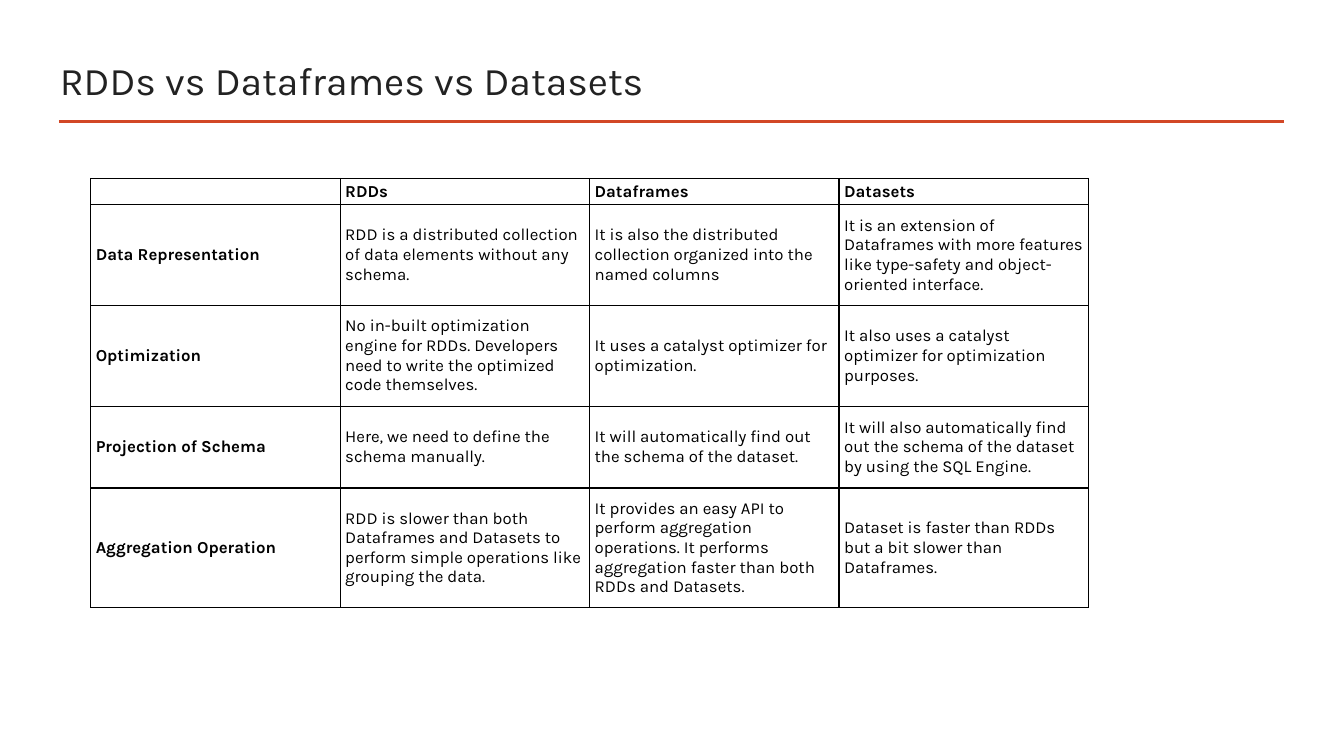
from lxml import etree
from pptx import Presentation
from pptx.dml.color import RGBColor
from pptx.enum import shapes, text
from pptx.oxml import ns
from pptx.util import Pt

BLACK = RGBColor(0x00, 0x00, 0x00)
WHITE = RGBColor(0xFF, 0xFF, 0xFF)
CHARCOAL = RGBColor(0x22, 0x22, 0x22)
ORANGE = RGBColor(0xD2, 0x47, 0x26)

COMPARISON = [
    ["", "RDDs", "Dataframes", "Datasets"],
    ["Data Representation",
     "RDD is a distributed collection of data elements without any schema.",
     "It is also the distributed collection organized into the named columns",
     "It is an extension of Dataframes with more features like type-safety "
     "and object-oriented interface."],
    ["Optimization",
     "No in-built optimization engine for RDDs. Developers need to write "
     "the optimized code themselves.",
     "It uses a catalyst optimizer for optimization.",
     "It also uses a catalyst optimizer for optimization purposes."],
    ["Projection of Schema",
     "Here, we need to define the schema manually.",
     "It will automatically find out the schema of the dataset.",
     "It will also automatically find out the schema of the dataset by "
     "using the SQL Engine."],
    ["Aggregation Operation",
     "RDD is slower than both Dataframes and Datasets to perform simple "
     "operations like grouping the data.",
     "It provides an easy API to perform aggregation operations. It performs "
     "aggregation faster than both RDDs and Datasets.",
     "Dataset is faster than RDDs but a bit slower than Dataframes."],
]
ROW_HEIGHTS = [18, 72, 72, 58.5, 85.5]
COLUMN_WIDTH = 178.2


class SlideBuilder:
    font_name = "Karla"
    title_size = 28
    cell_size = 12

    def __init__(self, presentation):
        self.slide = presentation.slides.add_slide(presentation.slide_layouts[5])

    def format_runs(self, paragraph, size, color, bold=False):
        for run in paragraph.runs:
            run.font.name = self.font_name
            run.font.size = Pt(size)
            run.font.bold = bold
            run.font.color.rgb = color

    def title(self, wording, left, top, width, height):
        shape = self.slide.shapes.title
        shape.left, shape.top = Pt(left), Pt(top)
        shape.width, shape.height = Pt(width), Pt(height)
        frame = shape.text_frame
        frame.text = wording
        frame.word_wrap = True
        frame.auto_size = text.MSO_AUTO_SIZE.NONE
        frame.vertical_anchor = text.MSO_ANCHOR.MIDDLE
        paragraph = frame.paragraphs[0]
        paragraph.alignment = text.PP_ALIGN.LEFT
        paragraph.line_spacing = 0.9
        self.format_runs(paragraph, self.title_size, CHARCOAL)

    def rule(self, left, right, y, color, weight):
        connector = self.slide.shapes.add_connector(
            shapes.MSO_CONNECTOR.STRAIGHT, Pt(left), Pt(y), Pt(right), Pt(y))
        connector.line.color.rgb = color
        connector.line.width = Pt(weight)
        etree.SubElement(connector._element.spPr, ns.qn("a:effectLst"))

    def table(self, rows, left, top, column_width, row_heights):
        """Add a bordered table whose first row and first column are bold."""
        column_count = len(rows[0])
        table = self.slide.shapes.add_table(
            len(rows), column_count, Pt(left), Pt(top),
            Pt(column_width * column_count), Pt(sum(row_heights))).table
        table.first_row = table.horz_banding = False
        for column in table.columns:
            column.width = Pt(column_width)
        for row_index, (wordings, height) in enumerate(zip(rows, row_heights)):
            table.rows[row_index].height = Pt(height)
            for column_index, wording in enumerate(wordings):
                heading = row_index == 0 or column_index == 0
                self.cell(table.cell(row_index, column_index), wording, heading)

    def cell(self, cell, wording, bold):
        cell.margin_left = cell.margin_right = Pt(3.6)
        cell.margin_top = cell.margin_bottom = Pt(2)
        cell.vertical_anchor = text.MSO_ANCHOR.MIDDLE
        cell.text_frame.text = wording
        paragraph = cell.text_frame.paragraphs[0]
        self.format_runs(paragraph, self.cell_size, BLACK, bold)
        if not wording:
            etree.SubElement(paragraph._p, ns.qn("a:endParaRPr"),
                             sz=str(self.cell_size * 100))
        self.borders(cell, BLACK, 1)
        cell.fill.solid()
        cell.fill.fore_color.rgb = WHITE

    def borders(self, cell, color, weight):
        properties = cell._tc.get_or_add_tcPr()
        for side in ("lnL", "lnR", "lnT", "lnB"):
            line = etree.SubElement(properties, ns.qn(f"a:{side}"), w=str(Pt(weight)))
            fill = etree.SubElement(line, ns.qn("a:solidFill"))
            etree.SubElement(fill, ns.qn("a:srgbClr"), val=str(color))


def main():
    presentation = Presentation()
    presentation.slide_width, presentation.slide_height = Pt(960), Pt(540)
    builder = SlideBuilder(presentation)
    builder.rule(42, 917.5, 87, ORANGE, 2)
    builder.table(COMPARISON, 64.8, 127.5, COLUMN_WIDTH, ROW_HEIGHTS)
    builder.title("RDDs vs Dataframes vs Datasets", 35.5, 34, 720, 50.5)
    presentation.save("out.pptx")


if __name__ == "__main__":
    main()
